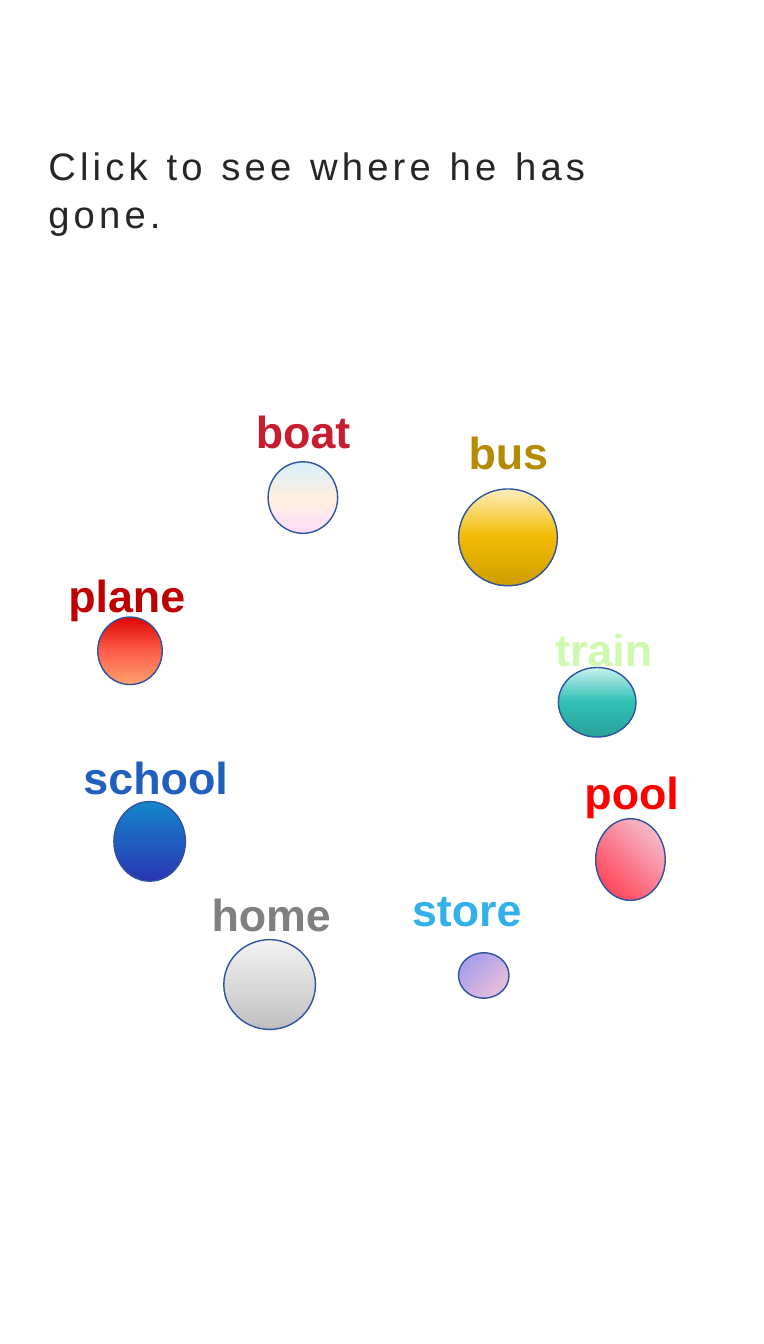
from dataclasses import dataclass

import lxml.etree
import pptx
import pptx.dml.color
import pptx.enum.shapes
import pptx.enum.text
import pptx.oxml
import pptx.oxml.ns
import pptx.slide
import pptx.text.text
import pptx.util

Inches = pptx.util.Inches
Box = tuple[float, float, float, float]


@dataclass(frozen=True)
class Gradient:
    stops: tuple[tuple[int, str], ...]
    angle: int = 90
    circular: bool = False


@dataclass(frozen=True)
class Theme:
    font: str = "Arial"
    title_size: float = 27.3
    label_size: float = 32
    title_color: str = "262626"
    outline: str = "2E54A1"
    outline_width: float = 1
    sky: Gradient = Gradient(((0, "D7F0FC"), (52, "FFEFDE"), (100, "FFDCFC")))
    flame: Gradient = Gradient(((0, "DF0303"), (51, "FE5F4A"), (100, "FEA06E")))
    gold: Gradient = Gradient(((0, "FEEFBD"), (50, "F2BA02"), (100, "CE9E02")))
    blue: Gradient = Gradient(((0, "1486CB"), (50, "1F5FBF"), (100, "2A34B2")))
    teal: Gradient = Gradient(((0, "C9F2EE"), (50, "30C0B4"), (100, "29A399")))
    rose: Gradient = Gradient(
        ((0, "EB3A48"), (25, "FF566A"), (75, "F6AABA"), (100, "FFCFD9")), 315)
    silver: Gradient = Gradient(((0, "F2F2F2"), (53, "D9D9D9"), (100, "BFBFBF")))
    lilac: Gradient = Gradient(((0, "9A97EF"), (100, "F5C5D6")), 45)
    mint_text: Gradient = Gradient(((0, "CFF9AE"), (90, "49E7CE")), circular=True)
    azure_text: Gradient = Gradient(((0, "005F9F"), (51, "32B0EA"), (100, "ADDCE1")))
    bus_text: str = "B58B01"
    boat_text: str = "C81D31"
    plane_text: str = "C00000"
    pool_text: str = "FF0000"
    home_text: str = "808080"


THEME = Theme()


@dataclass(frozen=True)
class Place:
    name: str
    ball: Box
    ball_fill: Gradient
    label: Box
    label_color: str | Gradient


PLACES = (
    Place("boat", (2.66, 4.58, 0.69, 0.71), THEME.sky,
          (2.44, 3.95, 1.55, 0.44), THEME.boat_text),
    Place("plane", (0.97, 6.12, 0.64, 0.67), THEME.flame,
          (0.58, 5.58, 1.43, 0.43), THEME.plane_text),
    Place("bus", (4.55, 4.85, 0.98, 0.96), THEME.gold,
          (4.55, 4.16, 1.22, 0.67), THEME.bus_text),
    Place("school", (1.13, 7.95, 0.71, 0.79), THEME.blue,
          (0.73, 7.39, 1.71, 0.37), THEME.blue),
    Place("train", (5.54, 6.62, 0.77, 0.69), THEME.teal,
          (5.41, 6.12, 2.53, 0.64), THEME.mint_text),
    Place("pool", (5.91, 8.12, 0.69, 0.81), THEME.rose,
          (5.7, 7.54, 1.49, 0.36), THEME.pool_text),
    Place("home", (2.22, 9.32, 0.91, 0.89), THEME.silver,
          (2, 8.75, 1.62, 0.46), THEME.home_text),
    Place("store", (4.55, 9.45, 0.5, 0.45), THEME.lilac,
          (3.99, 8.7, 1.54, 0.62), THEME.azure_text),
)


def rgb(color: str) -> pptx.dml.color.RGBColor:
    return pptx.dml.color.RGBColor.from_string(color)


def gradient_element(gradient: Gradient) -> lxml.etree.ElementBase:
    stops = "".join(
        f'<a:gs pos="{position * 1000}"><a:srgbClr val="{color}"/></a:gs>'
        for position, color in gradient.stops)
    if gradient.circular:
        direction = '<a:path path="circle"><a:fillToRect l="100000" t="100000"/></a:path>'
    else:
        direction = f'<a:lin ang="{gradient.angle * 60000}" scaled="0"/>'
    return pptx.oxml.parse_xml(
        f'<a:gradFill {pptx.oxml.ns.nsdecls("a")}>'
        f'<a:gsLst>{stops}</a:gsLst>{direction}</a:gradFill>')


def format_run(span: pptx.text.text._Run, size: float, color: str | Gradient,
               bold: bool) -> None:
    span.font.name = THEME.font
    span.font.size = pptx.util.Pt(size)
    span.font.bold = bold
    if isinstance(color, Gradient):
        span.font._element.insert(0, gradient_element(color))
    else:
        span.font.color.rgb = rgb(color)


def add_title(page: pptx.slide.Slide, text: str) -> None:
    title = page.shapes.title
    title.left, title.top, title.width, title.height = map(
        Inches, (0.38, 1.18, 6.82, 1.37))
    frame = title.text_frame
    frame.text = text
    frame.word_wrap = True
    frame.auto_size = pptx.enum.text.MSO_AUTO_SIZE.NONE
    frame.vertical_anchor = pptx.enum.text.MSO_ANCHOR.MIDDLE
    para = frame.paragraphs[0]
    para.alignment = pptx.enum.text.PP_ALIGN.LEFT
    para.line_spacing = 1.05
    span = para.runs[0]
    format_run(span, THEME.title_size, THEME.title_color, False)
    span.font._element.set("spc", "300")


def add_ball(page: pptx.slide.Slide, place: Place) -> None:
    ball = page.shapes.add_shape(
        pptx.enum.shapes.MSO_SHAPE.OVAL, *map(Inches, place.ball))
    ball.shadow.inherit = False
    ball.line.color.rgb = rgb(THEME.outline)
    ball.line.width = pptx.util.Pt(THEME.outline_width)
    geometry = ball._element.spPr.find(pptx.oxml.ns.qn("a:prstGeom"))
    geometry.addnext(gradient_element(place.ball_fill))


def add_label(page: pptx.slide.Slide, place: Place) -> None:
    box = page.shapes.add_textbox(*map(Inches, place.label))
    box.text_frame.word_wrap = True
    box.text_frame.text = place.name
    span = box.text_frame.paragraphs[0].runs[0]
    format_run(span, THEME.label_size, place.label_color, True)


def main() -> None:
    deck = pptx.Presentation()
    deck.slide_width = Inches(7.58)
    deck.slide_height = Inches(13.33)
    page = deck.slides.add_slide(deck.slide_layouts.get_by_name("Title Only"))
    add_title(page, "Click to see where he has gone.")
    for place in PLACES:
        add_ball(page, place)
    for place in PLACES:
        add_label(page, place)
    deck.save("out.pptx")


if __name__ == "__main__":
    main()
